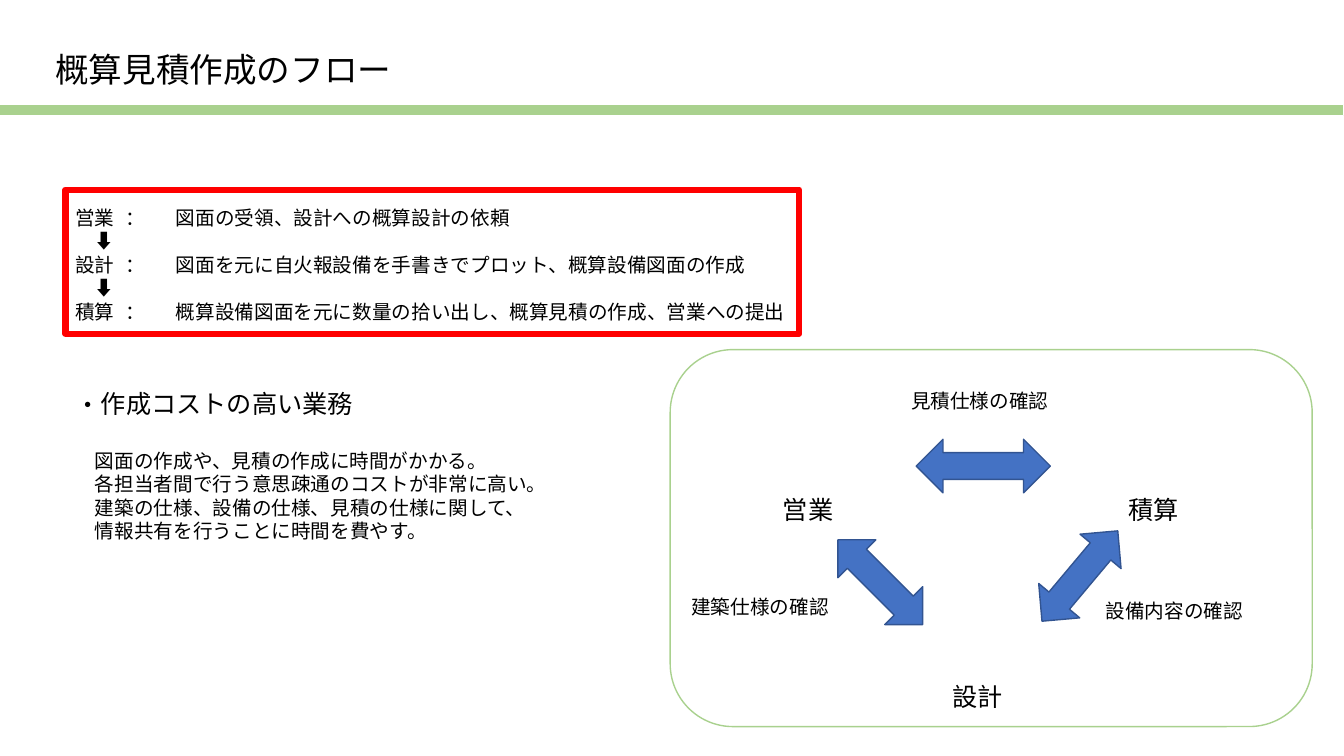
from lxml import etree
from pptx import Presentation
from pptx.dml.color import RGBColor
from pptx.enum.shapes import MSO_SHAPE
from pptx.enum.text import MSO_ANCHOR, MSO_AUTO_SIZE, PP_ALIGN
from pptx.oxml.ns import qn
from pptx.util import Cm, Pt

RECT, ROUNDED = MSO_SHAPE.RECTANGLE, MSO_SHAPE.ROUNDED_RECTANGLE
UP_DOWN, LEFT_RIGHT = MSO_SHAPE.UP_DOWN_ARROW, MSO_SHAPE.LEFT_RIGHT_ARROW
TOP, LEFT, NO_FIT = MSO_ANCHOR.TOP, PP_ALIGN.LEFT, MSO_AUTO_SIZE.NONE

FONT = "Noto Sans CJK JP"
COLORS = {"text": "000000", "green": "A9D18E", "white": "FFFFFF",
          "blue": "4472C4", "navy": "325491", "red": "FF0000"}
TITLE_SIZE, HEADING_SIZE, TEXT_SIZE = 24, 18, 14
LINE_FACTOR = 1.2
CM_PER_PT = 2.54 / 72
EM = round(TEXT_SIZE * CM_PER_PT, 2)
HEADING_EM = round(HEADING_SIZE * CM_PER_PT, 2)

TITLE = "概算見積作成のフロー"
FLOW_STEPS = [
    ("営業", "図面の受領、設計への概算設計の依頼"),
    ("設計", "図面を元に自火報設備を手書きでプロット、概算設備図面の作成"),
    ("積算", "概算設備図面を元に数量の拾い出し、概算見積の作成、営業への提出"),
]
DOWN_MARK = "⬇︎"
COST_HEADING = "作成コストの高い業務"
COST_LINES = [
    "図面の作成や、見積の作成に時間がかかる。",
    "各担当者間で行う意思疎通のコストが非常に高い。",
    "建築の仕様、設備の仕様、見積の仕様に関して、",
    "情報共有を行うことに時間を費やす。",
]
LABELS = [
    ("営業", HEADING_SIZE, 19.48, 12.32),
    ("設計", HEADING_SIZE, 23.75, 17.04),
    ("積算", HEADING_SIZE, 28.19, 12.32),
    ("見積仕様の確認", TEXT_SIZE, 22.71, 9.68),
    ("建築仕様の確認", TEXT_SIZE, 17.17, 14.86),
    ("設備内容の確認", TEXT_SIZE, 27.61, 14.96),
]
SHAPES = [
    (RECT, (0, 2.64, 33.87, 0.28), "green", "white", 0.75, 0),
    (ROUNDED, (16.89, 8.81, 16.18, 9.5), None, "green", 1, 0),
    (UP_DOWN, (21.51, 13.16, 1.35, 3.02), "blue", "navy", 1, 315),
    (UP_DOWN, (26.54, 13.03, 1.35, 2.97), "blue", "navy", 1, 40),
    (LEFT_RIGHT, (23.09, 11.07, 3.38, 1.35), "blue", "navy", 1, 0),
    (RECT, (1.65, 4.78, 18.49, 3.63), None, "red", 4.5, 0),
]


def color(key):
    return RGBColor.from_string(COLORS[key])


def place(box, left, top, width, height):
    bounds = {"left": left, "top": top, "width": width, "height": height}
    for key, value in bounds.items():
        setattr(box, key, Cm(value))


def write(box, lines):
    frame = box.text_frame
    frame_format = {"word_wrap": True, "auto_size": NO_FIT, "vertical_anchor": TOP}
    for key, value in frame_format.items():
        setattr(frame, key, value)
    for number, line in enumerate(lines):
        paragraph = frame.add_paragraph() if number else frame.paragraphs[0]
        size, bullet = line["size"], line.get("bullet")
        props = paragraph._p.get_or_add_pPr()
        props.set("marL", str(Cm(line.get("margin", 0))))
        props.set("indent", str(-Cm(line["margin"]) if bullet else 0))
        if bullet:
            etree.SubElement(props, qn("a:buFont"), typeface=FONT)
            etree.SubElement(props, qn("a:buChar"), char=bullet)
        else:
            etree.SubElement(props, qn("a:buNone"))
        if "tabs" in line:
            stops = etree.SubElement(props, qn("a:tabLst"))
            for stop in line["tabs"]:
                etree.SubElement(stops, qn("a:tab"), pos=str(Cm(stop)), algn="l")
        paragraph_format = {"alignment": LEFT, "line_spacing": Pt(size * LINE_FACTOR),
                            "space_before": Pt(line.get("before", 0)), "space_after": Pt(0)}
        for key, value in paragraph_format.items():
            setattr(paragraph, key, value)
        run = paragraph.add_run()
        run.text = line["text"]
        for key, value in {"name": FONT, "size": Pt(size), "bold": False}.items():
            setattr(run.font, key, value)
        run.font.color.rgb = color("text")
        etree.SubElement(run._r.get_or_add_rPr(), qn("a:ea"), typeface=FONT)


def flow_lines():
    lines = []
    for role, task in FLOW_STEPS:
        if lines:
            lines.append({"text": DOWN_MARK, "size": TEXT_SIZE, "margin": EM})
        lines.append({"text": f"{role}\t：\t{task}", "size": TEXT_SIZE,
                      "tabs": (3 * EM, 5 * EM)})
    return lines


def cost_lines():
    heading = {"text": COST_HEADING, "size": HEADING_SIZE,
               "margin": HEADING_EM, "bullet": "・"}
    details = [{"text": text, "size": TEXT_SIZE, "margin": EM} for text in COST_LINES]
    details[0]["before"] = HEADING_SIZE * LINE_FACTOR
    return [heading] + details


def main():
    deck = Presentation()
    deck.slide_width, deck.slide_height = Cm(33.87), Cm(19.05)
    slide = deck.slides.add_slide(deck.slide_layouts[3])
    title, flow, cost = list(slide.placeholders)[:3]

    place(title, 1.14, 1.1, 15.52, 1.5)
    write(title, [{"text": TITLE, "size": TITLE_SIZE}])
    place(flow, 1.64, 5.05, 18.5, 3.23)
    write(flow, flow_lines())
    place(cost, 1.65, 9.65, 15.14, 4.19)
    write(cost, cost_lines())

    for kind, bounds, fill, line, weight, angle in SHAPES:
        shape = slide.shapes.add_shape(kind, *map(Cm, bounds))
        shape.shadow.inherit = False
        shape.rotation = angle
        if fill:
            shape.fill.solid()
            shape.fill.fore_color.rgb = color(fill)
        else:
            shape.fill.background()
        shape.line.color.rgb = color(line)
        shape.line.width = Pt(weight)

    for text, size, left, top in LABELS:
        width = len(text) * size * CM_PER_PT + 0.6
        height = size * LINE_FACTOR * CM_PER_PT + 0.25
        label = slide.shapes.add_textbox(Cm(left), Cm(top), Cm(width), Cm(height))
        write(label, [{"text": text, "size": size}])

    deck.save("out.pptx")


if __name__ == "__main__":
    main()
